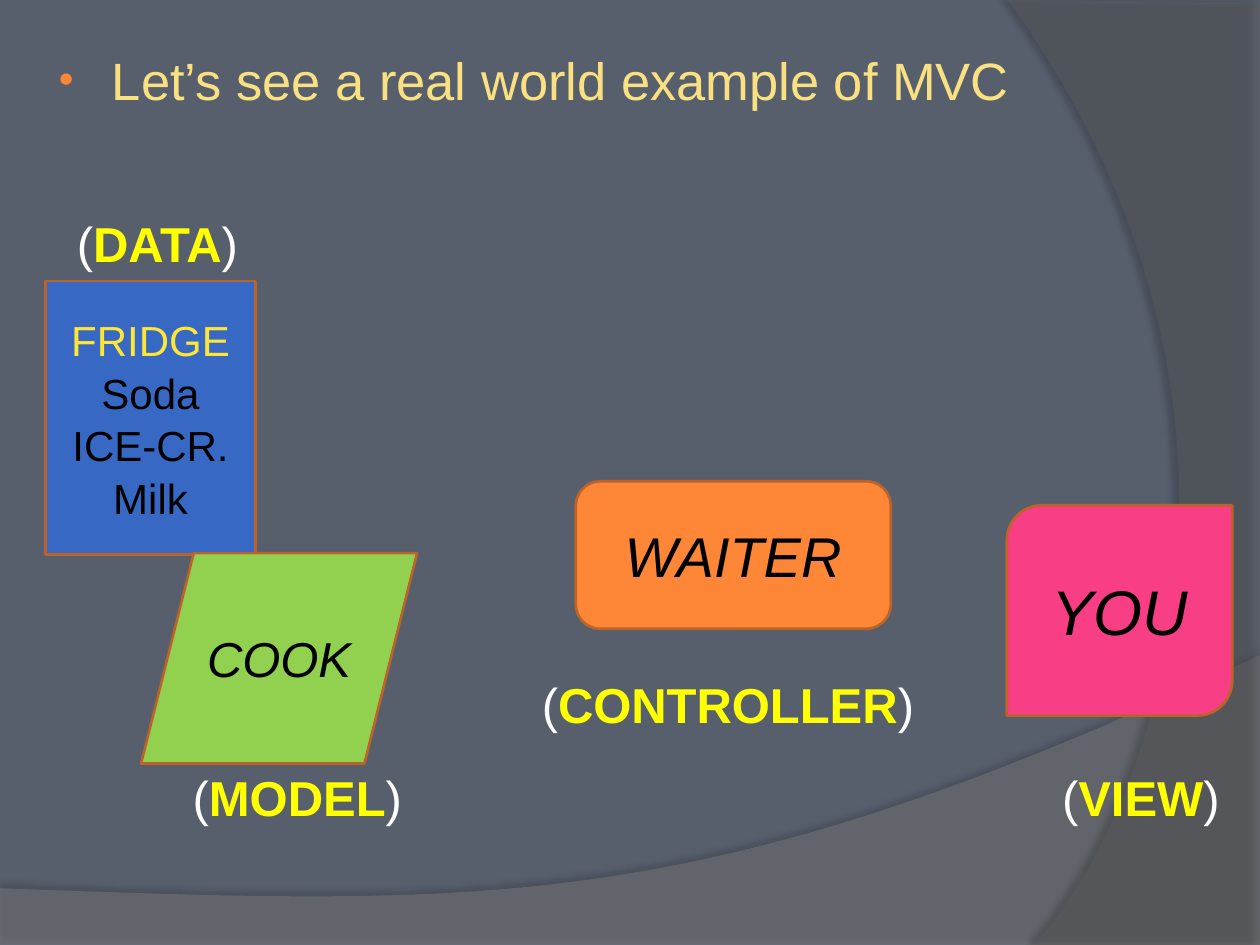
import lxml.etree
import pptx
import pptx.dml.color
import pptx.enum.shapes
import pptx.enum.text
import pptx.oxml.ns
import pptx.util

Inches = pptx.util.Inches
Pt = pptx.util.Pt
qn = pptx.oxml.ns.qn
SHAPES = pptx.enum.shapes.MSO_SHAPE
ALIGN = pptx.enum.text.PP_ALIGN
ANCHOR = pptx.enum.text.MSO_ANCHOR

THEME = {
    "font": "Arial", "background": "575F6D", "outline": "BC6329", "accent": "FE8637",
    "heading": "F9E181", "keyword": "FFFF00", "white": "FFFFFF", "black": "000000",
    "fridge": "3668C4", "fridge_title": "FFE636", "cook": "92D050", "you": "F83E85",
    "heading_size": 30, "label_size": 28,
}

HEADING = "Let’s see a real world example of MVC"

WAVES = [
    {"start": (0, 7.05), "corners": [(0, 7.51), (10, 7.51), (10, 5.2)],
     "curve": [(5.59, 7.29), (3.91, 7.19), (0, 7.05)],
     "color": "7F7F7F", "opacity": 45, "shadow": (35, 3.5, 270)},
    {"start": (10, 0.02), "corners": [(10, 7.5), (8.21, 7.5)],
     "curve": [(9.35, 6.19), (10.18, 3), (8, 0)],
     "color": "5E5E5E", "opacity": 40, "shadow": (45, 4, 180)},
]

ROLES = [
    (SHAPES.RECTANGLE, (0.36, 2.23, 1.67, 2.17), "fridge", 24, False,
     [("FRIDGE", "fridge_title"), ("Soda", "black"), ("ICE-CR.", "black"), ("Milk", "black")]),
    (SHAPES.PARALLELOGRAM, (1.12, 4.39, 2.19, 1.67), "cook", 28, True, [("COOK", "black")]),
    (SHAPES.ROUNDED_RECTANGLE, (4.57, 3.82, 2.5, 1.17), "accent", 32, True, [("WAITER", "black")]),
    (SHAPES.ROUND_2_DIAG_RECTANGLE, (7.99, 4.01, 1.79, 1.67), "you", 36, True, [("YOU", "black")]),
]

LABELS = [
    ("DATA", 0, 1.62, 0.56),
    ("MODEL", 0.92, 6.02, 0.56),
    ("VIEW", 7.82, 6.02, 0.56),
    ("CONTROLLER", 4.25, 5.28, 0),
]


def rgb(value):
    """Return the colour for a hex value."""
    return pptx.dml.color.RGBColor.from_string(value)


def add_element(parent, tag, **attributes):
    """Append a DrawingML element."""
    values = {name: str(value) for name, value in attributes.items()}
    return lxml.etree.SubElement(parent, qn(tag), values)


def add_run(paragraph, text, size, color, bold=False, italic=False):
    """Add one styled run."""
    run = paragraph.add_run()
    run.text = text
    run.font.name = THEME["font"]
    run.font.size = Pt(size)
    run.font.bold = bold
    run.font.italic = italic
    run.font.color.rgb = rgb(THEME[color])


def bezier(start, controls, steps=60):
    """Return points along a cubic curve."""
    points = [start, *controls]
    weights = (1, 3, 3, 1)
    return [
        tuple(
            sum(weights[k] * (1 - step / steps) ** (3 - k) * (step / steps) ** k * points[k][axis]
                for k in range(4))
            for axis in range(2)
        )
        for step in range(1, steps + 1)
    ]


def add_wave(slide, wave):
    """Add a translucent curved background area."""
    corners = wave["corners"]
    points = corners + bezier(corners[-1], wave["curve"])
    start_x, start_y = wave["start"]
    builder = slide.shapes.build_freeform(Inches(start_x), Inches(start_y))
    builder.add_line_segments([(Inches(x), Inches(y)) for x, y in points])
    shape = builder.convert_to_shape()
    shape.fill.solid()
    shape.fill.fore_color.rgb = rgb(wave["color"])
    shape.line.fill.background()
    properties = shape._element.spPr
    fill_color = properties.find(qn("a:solidFill")).find(qn("a:srgbClr"))
    add_element(fill_color, "a:alpha", val=wave["opacity"] * 1000)
    opacity, distance, angle = wave["shadow"]
    shape.shadow.inherit = False
    shadow = add_element(properties.find(qn("a:effectLst")), "a:outerShdw", blurRad=Pt(4),
                         dist=Pt(distance), dir=angle * 60000, algn="ctr", rotWithShape=0)
    shadow_color = add_element(shadow, "a:srgbClr", val=THEME["black"])
    add_element(shadow_color, "a:alpha", val=opacity * 1000)


def add_heading(slide):
    """Add the bulleted heading."""
    frame = slide.shapes.add_textbox(*map(Inches, (0.33, 0.33, 8.17, 1.42))).text_frame
    frame.word_wrap = True
    paragraph = frame.paragraphs[0]
    properties = paragraph._p.get_or_add_pPr()
    properties.set("marL", str(Inches(0.46)))
    properties.set("indent", str(Inches(-0.42)))
    add_element(add_element(properties, "a:buClr"), "a:srgbClr", val=THEME["accent"])
    add_element(properties, "a:buSzPct", val=80000)
    add_element(properties, "a:buFont", typeface=THEME["font"])
    add_element(properties, "a:buChar", char="•")
    add_run(paragraph, HEADING, THEME["heading_size"], "heading")


def add_role(slide, kind, box, fill, size, italic, lines):
    """Add one shape of the restaurant example."""
    shape = slide.shapes.add_shape(kind, *map(Inches, box))
    shape.shadow.inherit = False
    shape.fill.solid()
    shape.fill.fore_color.rgb = rgb(THEME[fill])
    shape.line.color.rgb = rgb(THEME["outline"])
    shape.line.width = Pt(1.5)
    frame = shape.text_frame
    frame.vertical_anchor = ANCHOR.MIDDLE
    for index, (text, color) in enumerate(lines):
        paragraph = frame.add_paragraph() if index else frame.paragraphs[0]
        paragraph.alignment = ALIGN.CENTER
        paragraph.line_spacing = 1.04 if len(lines) > 1 else 1.0
        add_run(paragraph, text, size, color, italic=italic)


def add_label(slide, word, left, top, indent):
    """Add a pattern name in brackets."""
    frame = slide.shapes.add_textbox(*map(Inches, (left, top, 3.14, 0.61))).text_frame
    frame.word_wrap = True
    frame.vertical_anchor = ANCHOR.MIDDLE
    frame.margin_left = frame.margin_right = Inches(0.05)
    frame.margin_top = frame.margin_bottom = Inches(0.05)
    paragraph = frame.paragraphs[0]
    paragraph._p.get_or_add_pPr().set("marL", str(Inches(indent)))
    for text, color, bold in (("(", "white", False), (word, "keyword", True), (")", "white", False)):
        add_run(paragraph, text, THEME["label_size"], color, bold=bold)


def main():
    """Build and save the slide."""
    presentation = pptx.Presentation()
    presentation.slide_width = Inches(10)
    presentation.slide_height = Inches(7.5)
    slide = presentation.slides.add_slide(presentation.slide_layouts[6])
    slide.background.fill.solid()
    slide.background.fill.fore_color.rgb = rgb(THEME["background"])
    for wave in WAVES:
        add_wave(slide, wave)
    add_heading(slide)
    for role in ROLES:
        add_role(slide, *role)
    for label in LABELS:
        add_label(slide, *label)
    presentation.save("out.pptx")


if __name__ == "__main__":
    main()
